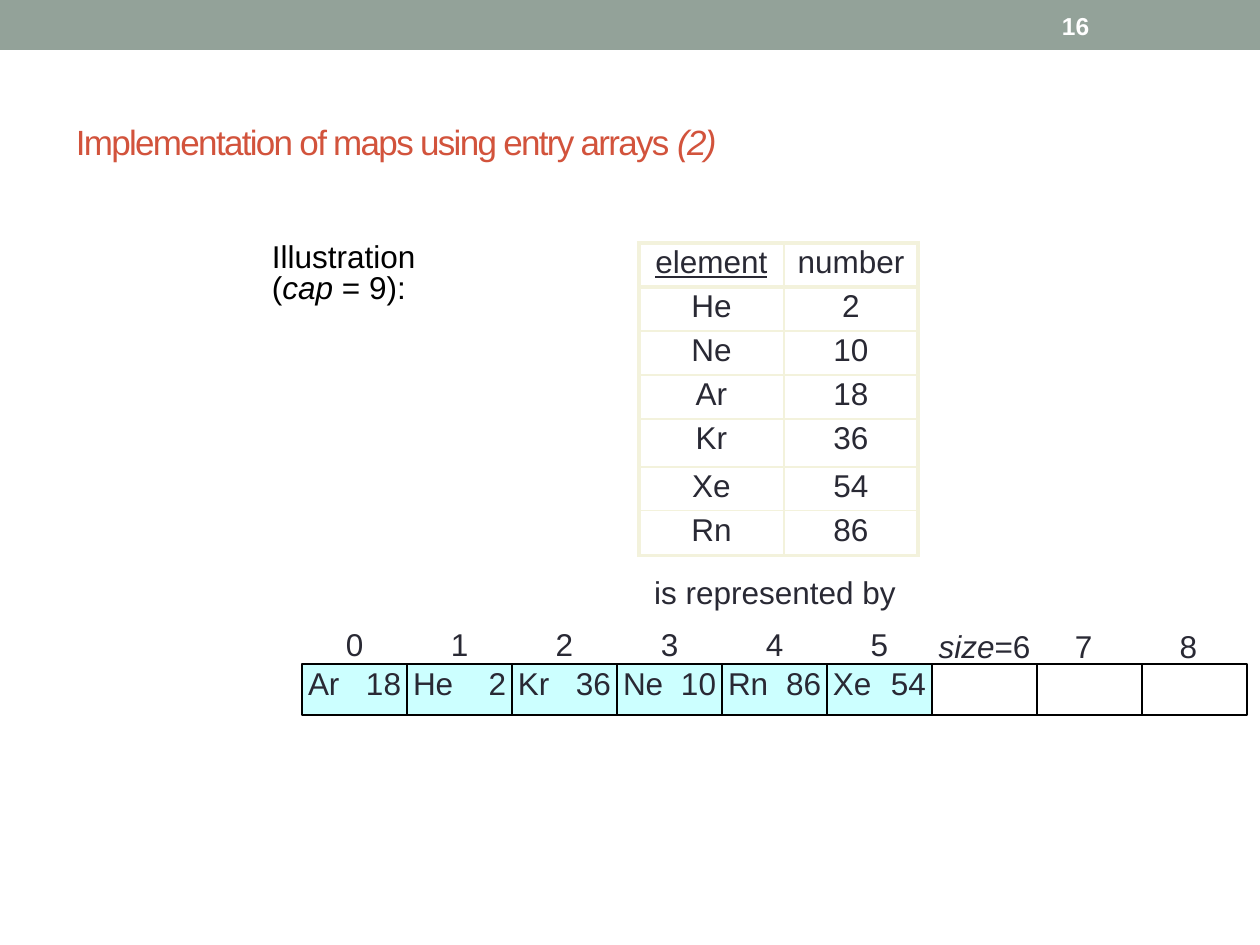
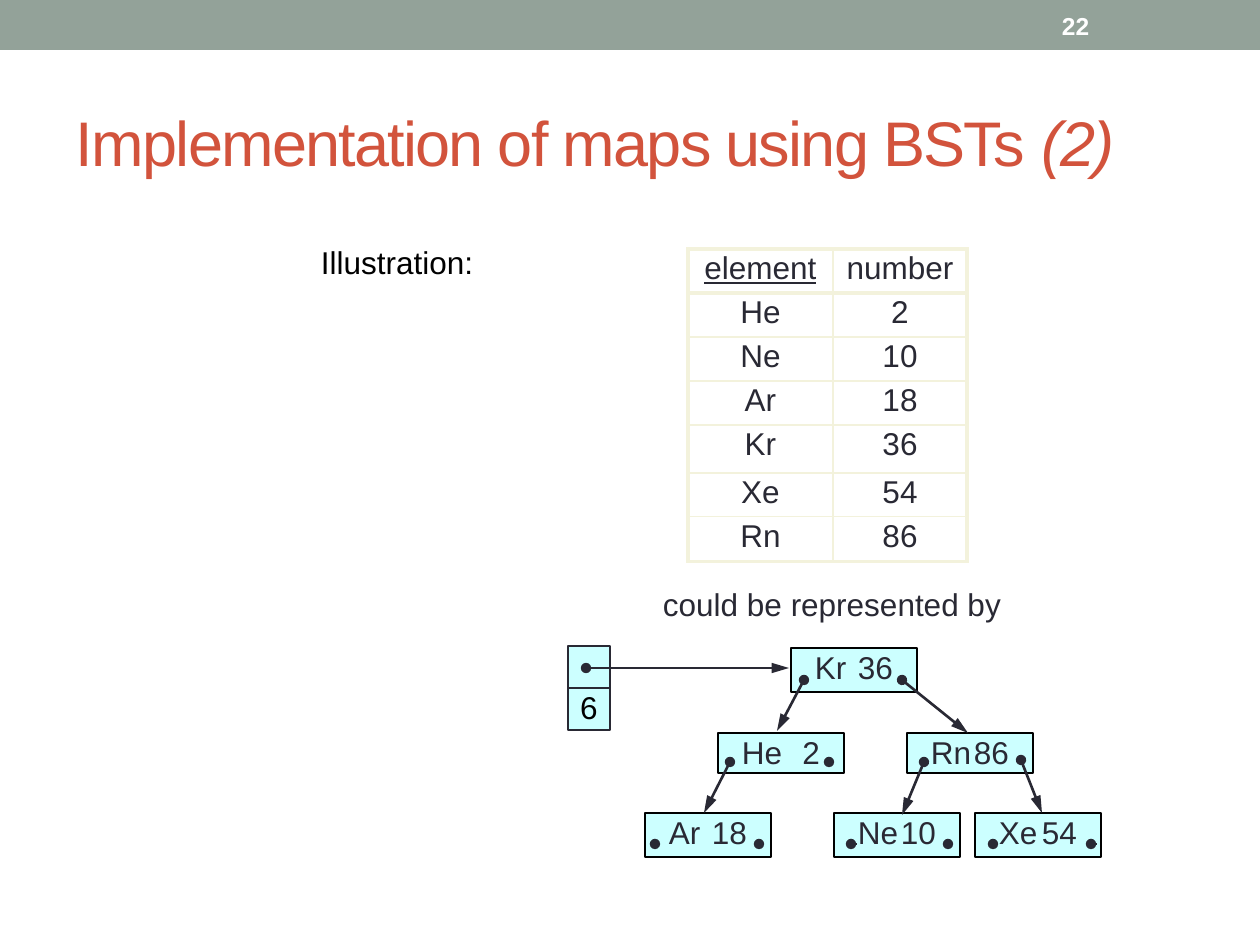
from dataclasses import dataclass
from typing import NamedTuple

from lxml import etree
from pptx import Presentation
from pptx import util as u
from pptx.dml.color import RGBColor
from pptx.enum import shapes, text
from pptx.oxml import ns

PX = 914400 / 126
FONT = "Arial"
COLORS = {
    "band": "93A299",
    "title": "D2533C",
    "ink": "292934",
    "black": "000000",
    "white": "FFFFFF",
    "entry": "CCFFFF",
    "rule": "F3F2DC",
}
ELEMENTS = [("element", "number"), ("He", "2"), ("Ne", "10"), ("Ar", "18"),
            ("Kr", "36"), ("Xe", "54"), ("Rn", "86")]
COLUMN_WIDTHS = [145, 134]
ROW_HEIGHTS = [44, 44, 44, 44, 48, 44, 45]
LEFT, CENTER = text.PP_ALIGN.LEFT, text.PP_ALIGN.CENTER


class Box(NamedTuple):
    x: int
    y: int
    w: int
    h: int


class Part(NamedTuple):
    words: str
    italic: bool = False


@dataclass
class Style:
    size: int = 18
    color: str = "ink"
    align: text.PP_ALIGN = CENTER
    bold: bool = False
    spacing: int = 0  # letter spacing in hundredths of a point
    leading: int = 0  # exact line height in points, 0 for single


@dataclass
class Node:
    symbol: str
    number: str
    box: Box


class Link(NamedTuple):
    x1: int
    y1: int
    x2: int
    y2: int


LABEL = Style(leading=18)
CAPTION = Style(color="black", align=LEFT, leading=18)
PAGE = Style(14, "white", LEFT, bold=True)


def emu(px: float) -> int:
    return round(px * PX)


def rgb(name: str) -> RGBColor:
    return RGBColor.from_string(COLORS[name])


def write(frame, parts: list[Part], style: Style) -> None:
    paragraph = frame.paragraphs[0]
    paragraph.alignment = style.align
    if style.leading:
        paragraph.line_spacing = u.Pt(style.leading)
    for part in parts:
        run = paragraph.add_run()
        run.text = part.words
        run.font.name = FONT
        run.font.size = u.Pt(style.size)
        run.font.bold = style.bold
        run.font.italic = part.italic
        run.font.color.rgb = rgb(style.color)
        if style.spacing:
            run.font._element.set("spc", str(style.spacing))


def set_insets(frame, left: int = 0) -> None:
    frame.margin_left = emu(left)
    frame.margin_right = frame.margin_top = frame.margin_bottom = 0


def add_label(slide, box: Box, parts: list[Part], style: Style = LABEL):
    frame = slide.shapes.add_textbox(*map(emu, box)).text_frame
    frame.word_wrap = True
    set_insets(frame)
    write(frame, parts, style)
    return frame


def add_box(slide, box: Box, fill: str, line: str | None = "black"):
    rect = slide.shapes.add_shape(shapes.MSO_SHAPE.RECTANGLE, *map(emu, box))
    rect.shadow.inherit = False
    rect.fill.solid()
    rect.fill.fore_color.rgb = rgb(fill)
    if line:
        rect.line.color.rgb = rgb(line)
        rect.line.width = u.Pt(0.75)
    else:
        rect.line.fill.background()
    frame = rect.text_frame
    frame.vertical_anchor = text.MSO_ANCHOR.TOP
    set_insets(frame)
    return frame


def add_entry(slide, node: Node, indent: int, number_end: int) -> None:
    """Box with the symbol at indent and the number ending at number_end."""
    frame = add_box(slide, node.box, "entry")
    set_insets(frame, indent)
    write(frame, [Part(f"{node.symbol}\t{node.number}")], Style(align=LEFT))
    props = frame.paragraphs[0]._p.get_or_add_pPr()
    tabs = etree.SubElement(props, ns.qn("a:tabLst"))
    etree.SubElement(tabs, ns.qn("a:tab"), pos=str(emu(number_end - indent)), algn="r")


def add_link(slide, link: Link, arrow: bool) -> None:
    connector = slide.shapes.add_connector(
        shapes.MSO_CONNECTOR.STRAIGHT, *map(emu, link))
    connector.line.color.rgb = rgb("ink")
    connector.line.width = u.Pt(1.5)
    line = connector.line._get_or_add_ln()
    etree.SubElement(line, ns.qn("a:headEnd"), type="oval", w="med", len="med")
    if arrow:
        etree.SubElement(line, ns.qn("a:tailEnd"), type="triangle", w="med", len="lg")
    etree.SubElement(connector._element.spPr, ns.qn("a:effectLst"))


def set_border(cell, side: str, points: float) -> None:
    line = etree.SubElement(cell._tc.get_or_add_tcPr(), ns.qn(f"a:ln{side}"),
                            w=str(u.Pt(points)))
    fill = etree.SubElement(line, ns.qn("a:solidFill"))
    etree.SubElement(fill, ns.qn("a:srgbClr"), val=COLORS["rule"])


def add_element_table(slide, x: int, y: int) -> None:
    last_row, last_col = len(ROW_HEIGHTS) - 1, len(COLUMN_WIDTHS) - 1
    box = Box(x, y, sum(COLUMN_WIDTHS), sum(ROW_HEIGHTS))
    table = slide.shapes.add_table(last_row + 1, last_col + 1, *map(emu, box)).table
    table.first_row = table.horz_banding = False
    for column, width in zip(table.columns, COLUMN_WIDTHS):
        column.width = emu(width)
    for r, (row, height) in enumerate(zip(table.rows, ROW_HEIGHTS)):
        row.height = emu(height)
        for c, cell in enumerate(row.cells):
            # Heavy rules frame the table and its header
            heavy = {"L": c == 0, "R": c == last_col,
                     "T": r <= 1, "B": r in (0, last_row)}
            for side, is_heavy in heavy.items():
                set_border(cell, side, 2.25 if is_heavy else 1)
            cell.fill.solid()
            cell.fill.fore_color.rgb = rgb("white")
            cell.margin_left = cell.margin_right = emu(6)
            cell.margin_top = cell.margin_bottom = emu(6)
            write(cell.text_frame, [Part(ELEMENTS[r][c])], LABEL)
    # The key column is underlined
    table.cell(0, 0).text_frame.paragraphs[0].runs[0].font.underline = True


def add_slide(deck, title: str, title_size: int, page: int):
    slide = deck.slides.add_slide(deck.slide_layouts[6])
    add_box(slide, Box(0, 0, 1260, 50), "band", None)
    heading = Style(title_size, "title", LEFT, spacing=-100)
    for box, parts, style in (
        (Box(76, 73, 1109, 136), [Part(title), Part("(2)", True)], heading),
        (Box(1062, 3, 123, 45), [Part(str(page))], PAGE),
    ):
        frame = add_label(slide, box, parts, style)
        frame.vertical_anchor = text.MSO_ANCHOR.MIDDLE
    return slide


def build_array_slide(deck) -> None:
    slide = add_slide(deck, "Implementation of maps using entry arrays ", 20, 16)
    add_element_table(slide, 639, 243)
    add_label(slide, Box(272, 243, 189, 63),
              [Part("Illustration ("), Part("cap", True), Part(" = 9):")], CAPTION)
    add_label(slide, Box(649, 579, 252, 32), [Part("is represented by")])

    # Entry array, sorted by element
    entries = sorted(ELEMENTS[1:])
    size, capacity, pitch = len(entries), 9, 105
    for i in range(capacity):
        x = 302 + i * pitch
        cell = Box(x, 664, pitch, 51)
        if i < size:
            add_entry(slide, Node(*entries[i], cell), 6, 99)
        else:
            add_box(slide, cell, "white")
        index = [Part("size", True), Part(f"={i}")] if i == size else [Part(str(i))]
        shift = -6 if i > size else 0
        add_label(slide, Box(x + shift, 631 if i < size else 633, pitch, 29), index)


def build_tree_slide(deck) -> None:
    slide = add_slide(deck, "Implementation of maps using BSTs ", 36, 22)
    add_element_table(slide, 688, 249)
    add_label(slide, Box(321, 249, 189, 32), [Part("Illustration:")], CAPTION)
    add_label(slide, Box(655, 591, 354, 32), [Part("could be represented by")])

    # Tree nodes
    for node in (
        Node("Kr", "36", Box(791, 648, 126, 44)),
        Node("He", "2", Box(718, 733, 126, 40)),
        Node("Rn", "86", Box(907, 733, 126, 40)),
        Node("Ar", "18", Box(645, 813, 126, 44)),
        Node("Ne", "10", Box(834, 813, 126, 44)),
        Node("Xe", "54", Box(975, 813, 126, 44)),
    ):
        add_entry(slide, node, 24, 102)

    # Header: root pointer above the size
    add_box(slide, Box(568, 646, 42, 42), "entry", "ink")
    size_field = add_box(slide, Box(568, 688, 42, 42), "entry", "ink")
    write(size_field, [Part("6")], Style(color="black"))

    # Pointers to children
    for link in (
        Link(586, 668, 789, 668),
        Link(804, 680, 777, 731),
        Link(902, 680, 968, 733),
        Link(730, 762, 704, 813),
        Link(924, 762, 902, 815),
        Link(1021, 760, 1042, 813),
    ):
        add_link(slide, link, arrow=True)

    # Null pointers
    leaf_nulls = [(x, 844) for x in (655, 759, 851, 948, 993, 1091)]
    for x, y in [(829, 762), *leaf_nulls]:
        add_link(slide, Link(x, y, x + 5, y), arrow=False)


def main() -> None:
    deck = Presentation()
    deck.slide_width, deck.slide_height = emu(1260), emu(945)
    build_array_slide(deck)
    build_tree_slide(deck)
    deck.save("out.pptx")


if __name__ == "__main__":
    main()
